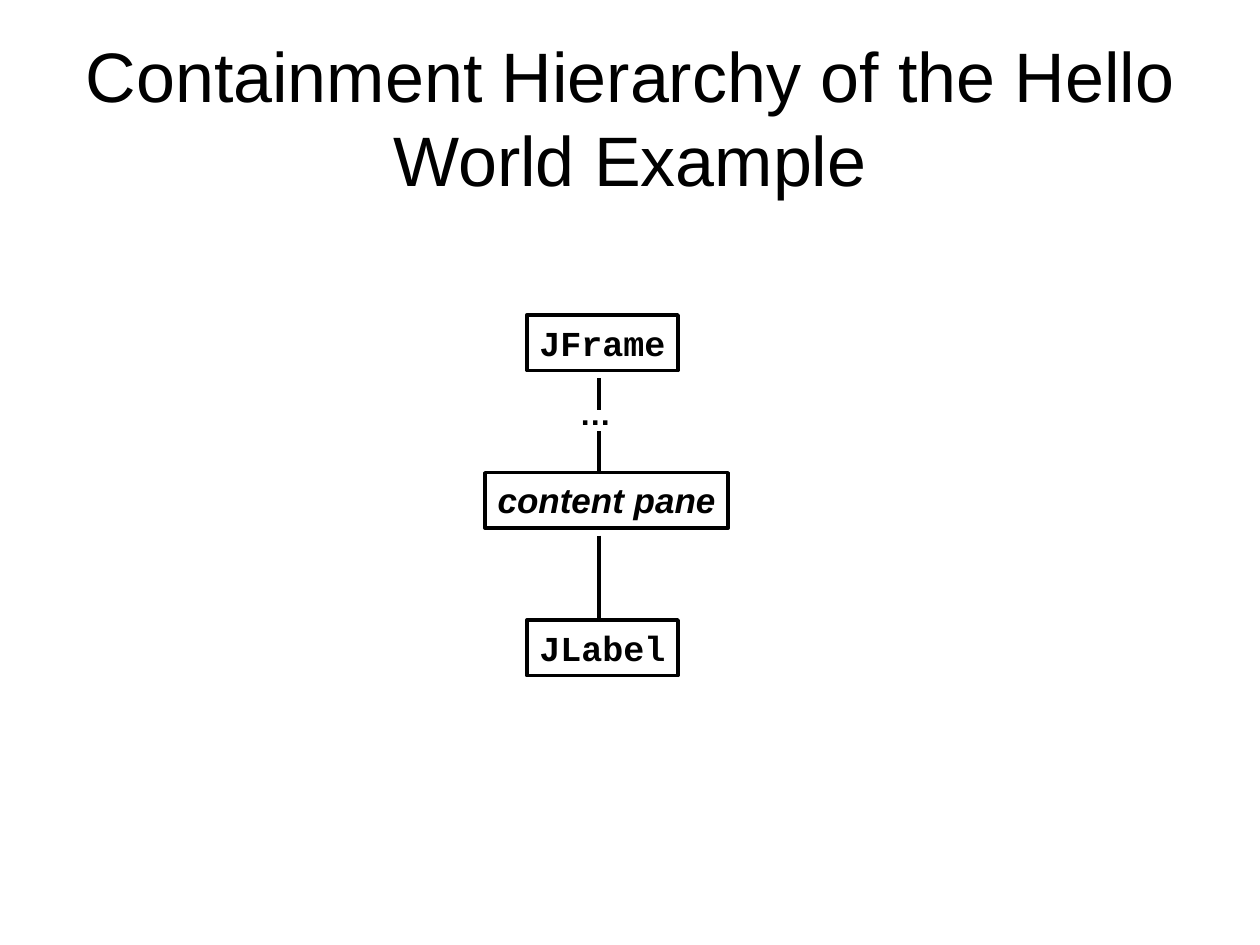
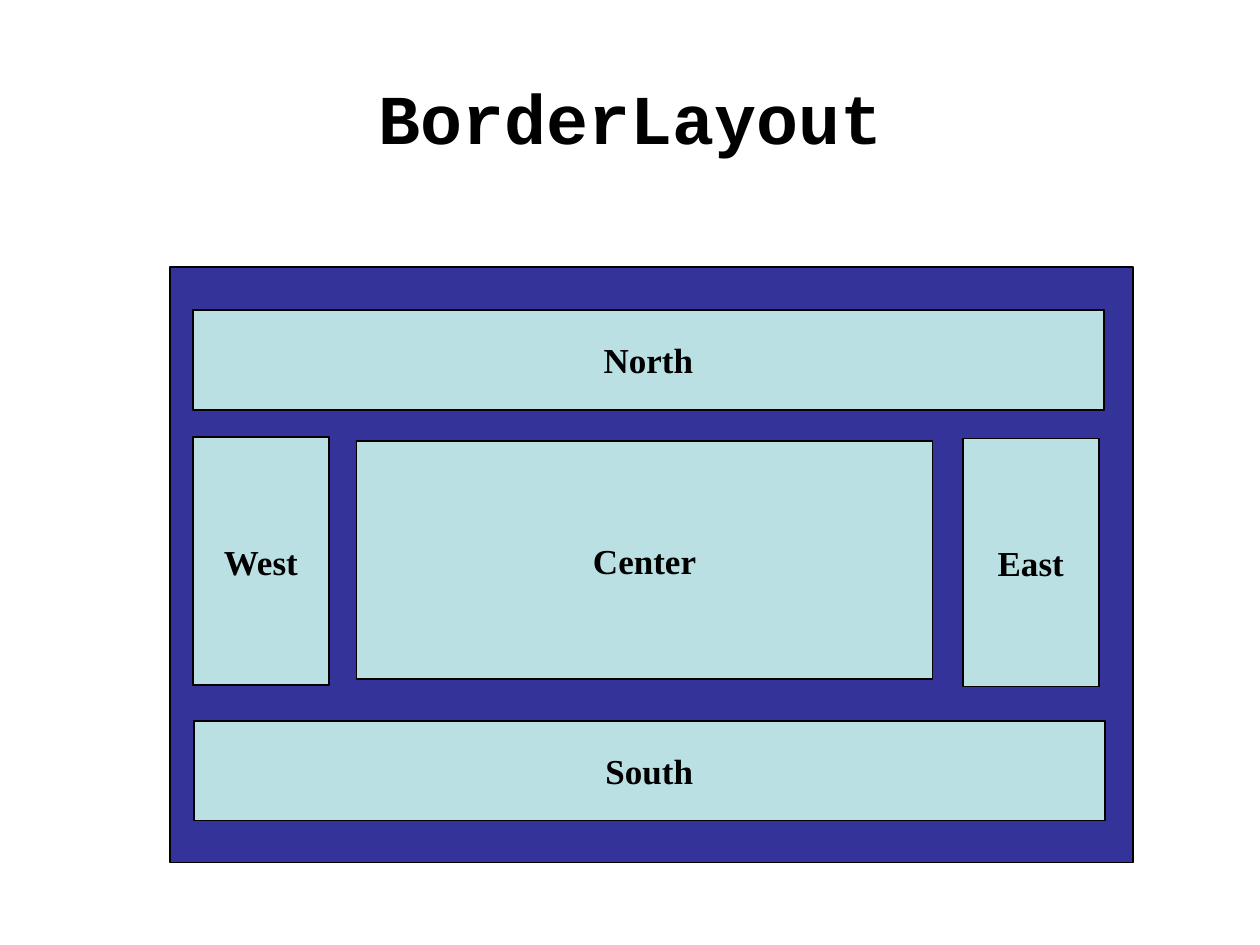
from lxml.etree import SubElement
from pptx import Presentation
from pptx.dml.color import RGBColor
from pptx.enum.shapes import MSO_CONNECTOR, MSO_SHAPE
from pptx.enum.text import MSO_ANCHOR, MSO_AUTO_SIZE, PP_ALIGN
from pptx.oxml.ns import qn
from pptx.util import Cm, Pt

COLORS = {"ink": "000000", "container": "333399", "region": "BBE0E3"}
SANS, MONO, SERIF = "Arial", "Courier New", "Times New Roman"
BOX_HEIGHT = 1.12
TREE_X = 12.07
NODES = [
    ("JFrame", 10.62, 6.35, 3.05, MONO, False),
    ("content pane", 9.78, 9.53, 4.9, SANS, True),
    ("JLabel", 10.62, 12.5, 3.05, MONO, False),
]
LINKS = [(7.62, 8.26), (8.69, 9.53), (10.8, 12.5)]
REGIONS = [
    ("North", 3.89, 6.25, 18.36, 2.01),
    ("South", 3.91, 14.53, 18.36, 2.01),
    ("West", 3.89, 8.81, 2.74, 5),
    ("East", 19.41, 8.84, 2.74, 5),
    ("Center", 7.19, 8.89, 11.61, 4.8),
]


def color(name):
    """Return the named palette colour."""
    return RGBColor.from_string(COLORS[name])


def write(shape, text, font, size, bold=True, italic=False,
          anchor=MSO_ANCHOR.MIDDLE, wrap=False, space_before=0):
    """Put one centred, formatted paragraph in a shape."""
    frame = shape.text_frame
    frame.text = text
    frame.word_wrap = wrap
    frame.vertical_anchor = anchor
    paragraph = frame.paragraphs[0]
    paragraph.alignment = PP_ALIGN.CENTER
    paragraph.space_before = Pt(space_before)
    style = paragraph.runs[0].font
    style.name, style.size = font, Pt(size)
    style.bold, style.italic = bold, italic
    style.color.rgb = color("ink")


def add_title(slide, text, font=SANS, bold=False):
    """Add the slide title."""
    title = slide.shapes.add_textbox(Cm(1.27), Cm(0.76), Cm(22.86), Cm(3.18))
    write(title, text, font, 40, bold=bold, wrap=True)


def add_box(slide, left, top, width, height, fill=None, line_width=1):
    """Add an outlined rectangle, filled if a colour is named."""
    box = slide.shapes.add_shape(
        MSO_SHAPE.RECTANGLE, Cm(left), Cm(top), Cm(width), Cm(height))
    box.shadow.inherit = False
    if fill:
        box.fill.solid()
        box.fill.fore_color.rgb = color(fill)
    else:
        box.fill.background()
    box.line.color.rgb = color("ink")
    box.line.width = Pt(line_width)
    return box


def add_node(slide, text, left, top, width, font, italic):
    """Add one component of the containment tree."""
    node = add_box(slide, left, top, width, BOX_HEIGHT, line_width=2)
    write(node, text, font, 20, italic=italic, anchor=MSO_ANCHOR.TOP,
          space_before=5)
    node.text_frame.auto_size = MSO_AUTO_SIZE.SHAPE_TO_FIT_TEXT


def add_link(slide, top, bottom):
    """Add a vertical line of the containment tree."""
    link = slide.shapes.add_connector(
        MSO_CONNECTOR.STRAIGHT, Cm(TREE_X), Cm(top), Cm(TREE_X), Cm(bottom))
    link.line.color.rgb = color("ink")
    link.line.width = Pt(2)
    SubElement(link._element.spPr, qn("a:effectLst"))


def add_ellipsis(slide):
    """Add the mark for the omitted levels of the tree."""
    ellipsis = slide.shapes.add_textbox(Cm(11.43), Cm(7.82), Cm(1.14), Cm(1.02))
    write(ellipsis, "…", SANS, 18, anchor=MSO_ANCHOR.TOP, space_before=4.5)
    ellipsis.text_frame.auto_size = MSO_AUTO_SIZE.SHAPE_TO_FIT_TEXT


def build_hierarchy(slide):
    """Build the containment tree slide."""
    add_title(slide, "Containment Hierarchy of the Hello World Example")
    for node in NODES:
        add_node(slide, *node)
    add_ellipsis(slide)
    for top, bottom in LINKS:
        add_link(slide, top, bottom)


def build_border_layout(slide):
    """Build the slide with the five layout regions."""
    add_title(slide, "BorderLayout", MONO, bold=True)
    add_box(slide, 3.43, 5.38, 19.41, 12.01, "container")
    for name, *bounds in REGIONS:
        write(add_box(slide, *bounds, "region"), name, SERIF, 20)


def main():
    """Build and save the presentation."""
    presentation = Presentation()
    presentation.slide_width, presentation.slide_height = Cm(25.4), Cm(19.05)
    for build in (build_hierarchy, build_border_layout):
        build(presentation.slides.add_slide(presentation.slide_layouts[6]))
    presentation.save("out.pptx")


if __name__ == "__main__":
    main()
